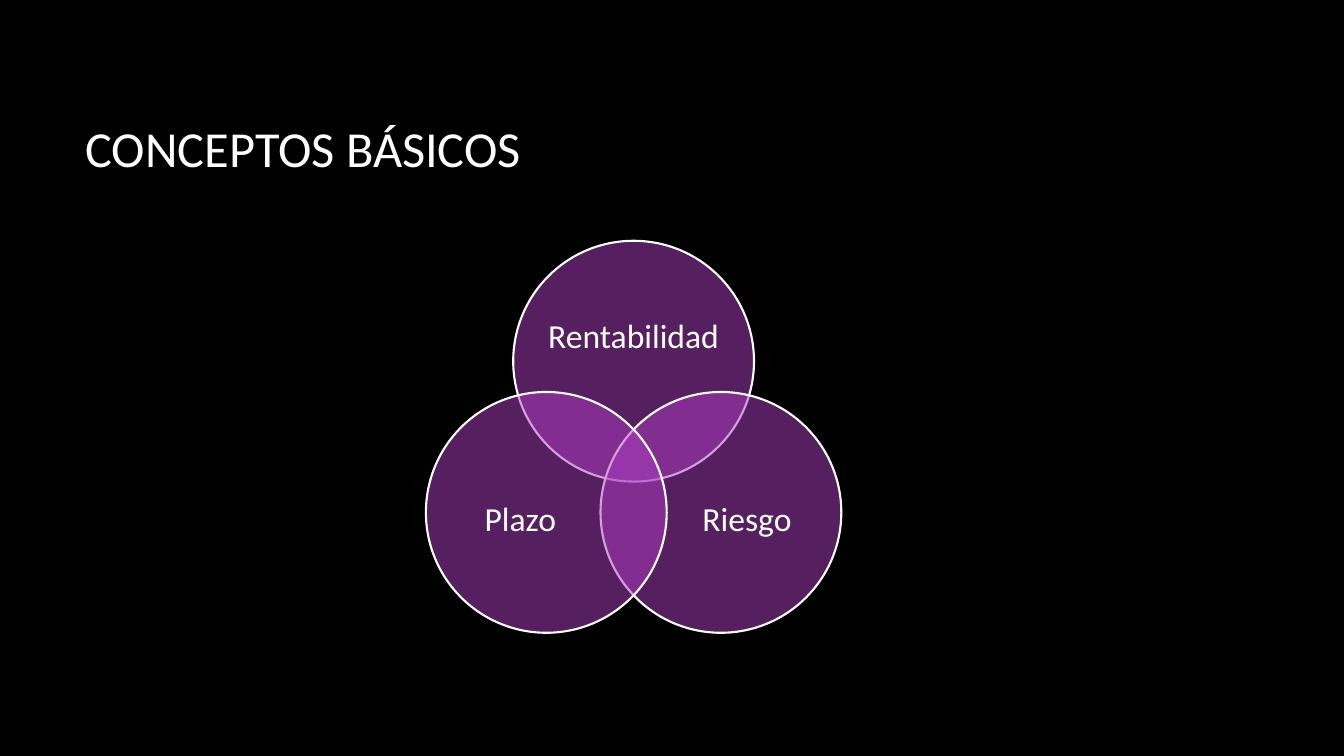
from dataclasses import dataclass
from math import cos, radians, sin

from lxml import etree
from pptx import Presentation
from pptx.dml.color import RGBColor
from pptx.enum.shapes import MSO_SHAPE
from pptx.enum.text import MSO_ANCHOR, PP_ALIGN
from pptx.oxml.ns import qn
from pptx.util import Pt

OVAL = MSO_SHAPE.OVAL
MIDDLE = MSO_ANCHOR.MIDDLE
LEFT, CENTER = PP_ALIGN.LEFT, PP_ALIGN.CENTER


@dataclass(frozen=True)
class Theme:
    background: RGBColor = RGBColor(0x00, 0x00, 0x00)
    ink: RGBColor = RGBColor(0xFF, 0xFF, 0xFF)
    circle: RGBColor = RGBColor(0xAC, 0x3E, 0xC1)
    font: str = "Calibri"
    title_size: int = 36
    label_size: int = 24


theme = Theme()


def add_text(shapes, box, text, size, frame_format, paragraph_format):
    frame = shapes.add_textbox(*map(Pt, box)).text_frame
    for name, value in frame_format.items():
        setattr(frame, name, value)
    paragraph = frame.paragraphs[0]
    for name, value in paragraph_format.items():
        setattr(paragraph, name, value)
    run = paragraph.add_run()
    run.text = text
    run.font.name = theme.font
    run.font.size = Pt(size)
    run.font.color.rgb = theme.ink


deck = Presentation()
deck.slide_width, deck.slide_height = Pt(960), Pt(540)
slide = deck.slides.add_slide(deck.slide_layouts[6])
slide.background.fill.solid()
slide.background.fill.fore_color.rgb = theme.background

title_frame = {"word_wrap": True, "vertical_anchor": MIDDLE}
label_frame = title_frame | {
    f"margin_{side}": 0 for side in ("left", "top", "right", "bottom")
}
label_paragraph = {
    "alignment": CENTER,
    "line_spacing": 0.9,
    "space_after": Pt(theme.label_size * 0.35),
}

add_text(slide.shapes, (54, 48, 798, 114.5), "CONCEPTOS BÁSICOS",
         theme.title_size, title_frame, {"alignment": LEFT})

venn_x, venn_y = 452.6, 330
ring_radius = 72
diameter = 172
concepts = [
    ("Rentabilidad", -90, 0, -17, 126.5, 78),
    ("Riesgo", 30, 18.6, 6, 103.5, 95),
    ("Plazo", 150, -18.6, 6, 103.5, 95),
]

venn = slide.shapes.add_group_shape()
for concept, angle, shift_x, shift_y, width, height in concepts:
    center_x = venn_x + ring_radius * cos(radians(angle))
    center_y = venn_y + ring_radius * sin(radians(angle))
    circle = venn.shapes.add_shape(
        OVAL, Pt(center_x - diameter / 2), Pt(center_y - diameter / 2),
        Pt(diameter), Pt(diameter))
    circle.shadow.inherit = False
    circle.fill.solid()
    circle.fill.fore_color.rgb = theme.circle
    tint = circle.fill._xPr.find(qn("a:solidFill"))[0]
    etree.SubElement(tint, qn("a:alpha"), val="50000")
    circle.line.color.rgb = theme.ink
    circle.line.width = Pt(1.5)
    label_box = (center_x + shift_x - width / 2,
                 center_y + shift_y - height / 2, width, height)
    add_text(venn.shapes, label_box, concept, theme.label_size,
             label_frame, label_paragraph)

deck.save("out.pptx")
